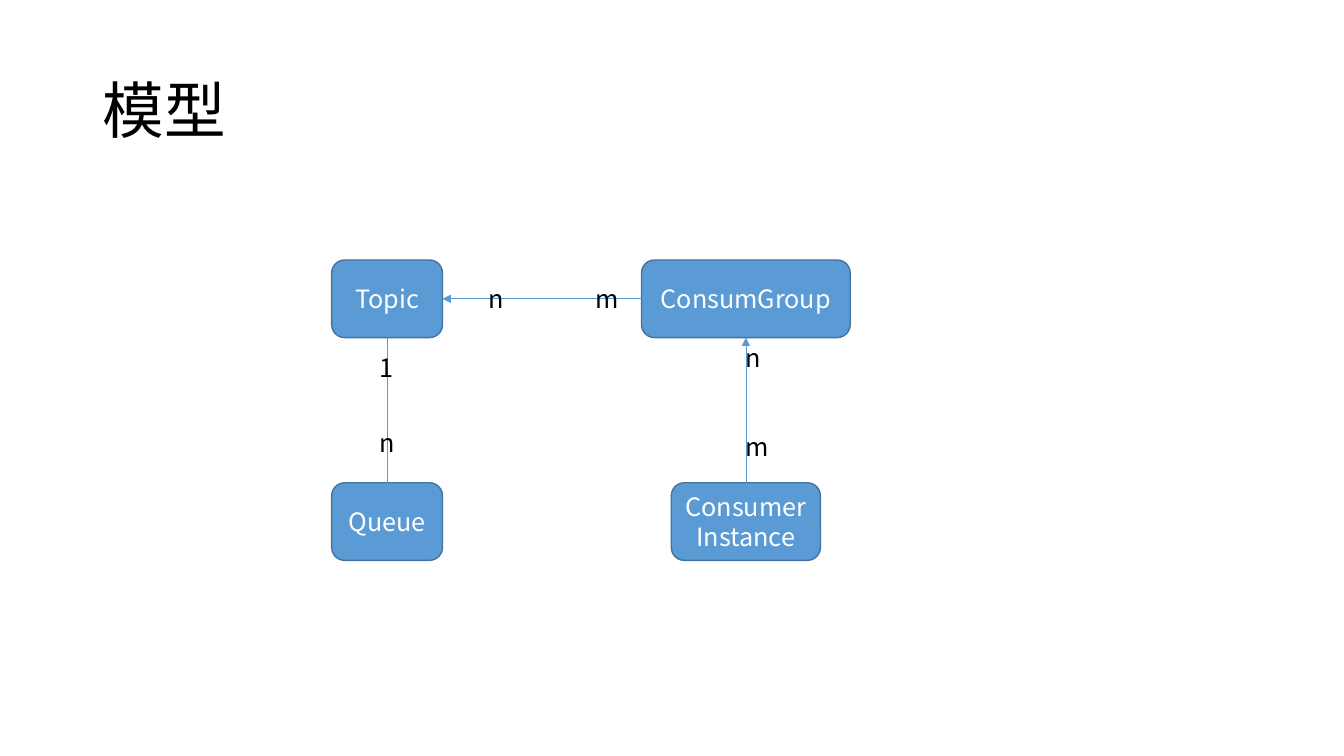
"""Build the topic and consumer model slide."""
from lxml.etree import SubElement
from pptx import Presentation
from pptx.dml.color import RGBColor
from pptx.enum.shapes import MSO_CONNECTOR, MSO_SHAPE
from pptx.enum.text import MSO_ANCHOR, MSO_AUTO_SIZE, PP_ALIGN
from pptx.oxml.ns import qn
from pptx.util import Inches, Pt

COLORS = {"fill": "5B9BD5", "edge": "43739E", "ink": "000000", "light": "FFFFFF"}
FONT = "Noto Sans CJK SC"
BOX = {"word_wrap": True, "vertical_anchor": MSO_ANCHOR.MIDDLE}
LABEL = {"word_wrap": False, "auto_size": MSO_AUTO_SIZE.SHAPE_TO_FIT_TEXT}


def color(name):
    """Return a named colour."""
    return RGBColor.from_string(COLORS[name])


def assign(item, values):
    """Set attributes from a dict."""
    for key, value in values.items():
        setattr(item, key, value)


class Board:
    """Hold the style and slide; lengths are percent of the slide's size."""

    def __init__(self, deck):
        """Add a blank slide."""
        self.deck = deck
        self.slide = deck.slides.add_slide(deck.slide_layouts[6])

    def place(self, *sizes):
        """Turn alternating x and y percents into lengths."""
        sides = (self.deck.slide_width, self.deck.slide_height)
        return [round(size * sides[i % 2] / 100) for i, size in enumerate(sizes)]

    def label(self, shape, text, frame, para, size, ink):
        """Fill a shape with styled text."""
        body = shape.text_frame
        body.text = text
        assign(body, frame)
        for line in body.paragraphs:
            assign(line, para)
            for run in line.runs:
                assign(run.font, {"name": FONT, "size": Pt(size)})
                run.font.color.rgb = color(ink)
                SubElement(run.font._element, qn("a:ea"), typeface=FONT)

    def text(self, text, area, frame=LABEL, size=18, para={}):
        """Add a text box."""
        shape = self.slide.shapes.add_textbox(*self.place(*area))
        self.label(shape, text, frame, para, size, "ink")

    def node(self, text, x, y, wide):
        """Add a rounded box centred at a point."""
        area = self.place(x - wide / 2, y - HIGH / 2, wide, HIGH)
        shape = self.slide.shapes.add_shape(MSO_SHAPE.ROUNDED_RECTANGLE, *area)
        shape.shadow.inherit = False
        shape.fill.solid()
        shape.fill.fore_color.rgb = color("fill")
        shape.line.color.rgb = color("edge")
        shape.line.width = Pt(1)
        self.label(shape, text, BOX, {"alignment": PP_ALIGN.CENTER}, 18, "light")

    def arrow(self, *ends):
        """Add an arrow between two points."""
        link = self.slide.shapes.add_connector(MSO_CONNECTOR.STRAIGHT, *self.place(*ends))
        link.line.color.rgb = color("fill")
        link.line.width = Pt(0.5)
        props = link._element.spPr
        SubElement(props.find(qn("a:ln")), qn("a:tailEnd"), type="triangle")
        SubElement(props, qn("a:effectLst"))


LEFT, RIGHT = 28.8, 55.5
TOP, LOW = 39.53, 69
HIGH, SLIM, BROAD = 10.27, 8.25, 15.53
HALF = HIGH / 2

deck = Presentation()
assign(deck, {"slide_width": Inches(13.33), "slide_height": Inches(7.5)})
board = Board(deck)
board.text("模型", (6.9, 5.33, 86.25, 19.33), BOX, 44, {"line_spacing": 0.9})

for text, x, y, wide in (
    ("Topic", LEFT, TOP, SLIM),
    ("Queue", LEFT, LOW, SLIM),
    ("ConsumGroup", RIGHT, TOP, BROAD),
    ("Consumer\nInstance", RIGHT, LOW, 11.1),
):
    board.node(text, x, y, wide)

board.arrow(LEFT, TOP + HALF, LEFT, LOW - HALF + 1.47)
board.arrow(RIGHT - BROAD / 2, TOP, LEFT + SLIM / 2, TOP)
board.arrow(RIGHT, LOW - HALF, RIGHT, TOP + HALF)

WIDE = {"1": 2.55, "n": 2.55, "m": 3.08}
for text, x, y in (
    ("1", 27.53, 46),
    ("n", 27.53, 55.87),
    ("m", 43.58, 36.8),
    ("n", 35.63, 36.8),
    ("n", 54.76, 44.67),
    ("m", 54.76, 56.4),
):
    board.text(text, (x, y, WIDE[text], 5.33))

deck.save("out.pptx")
